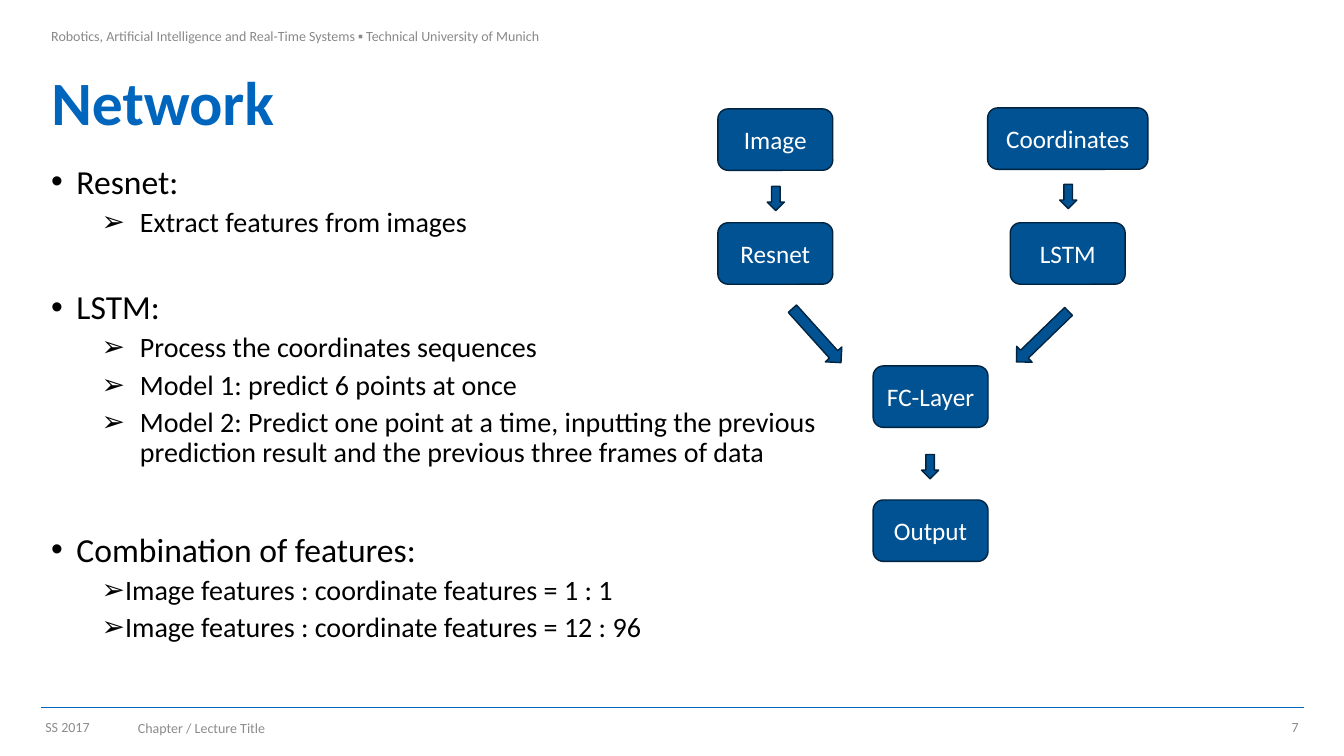
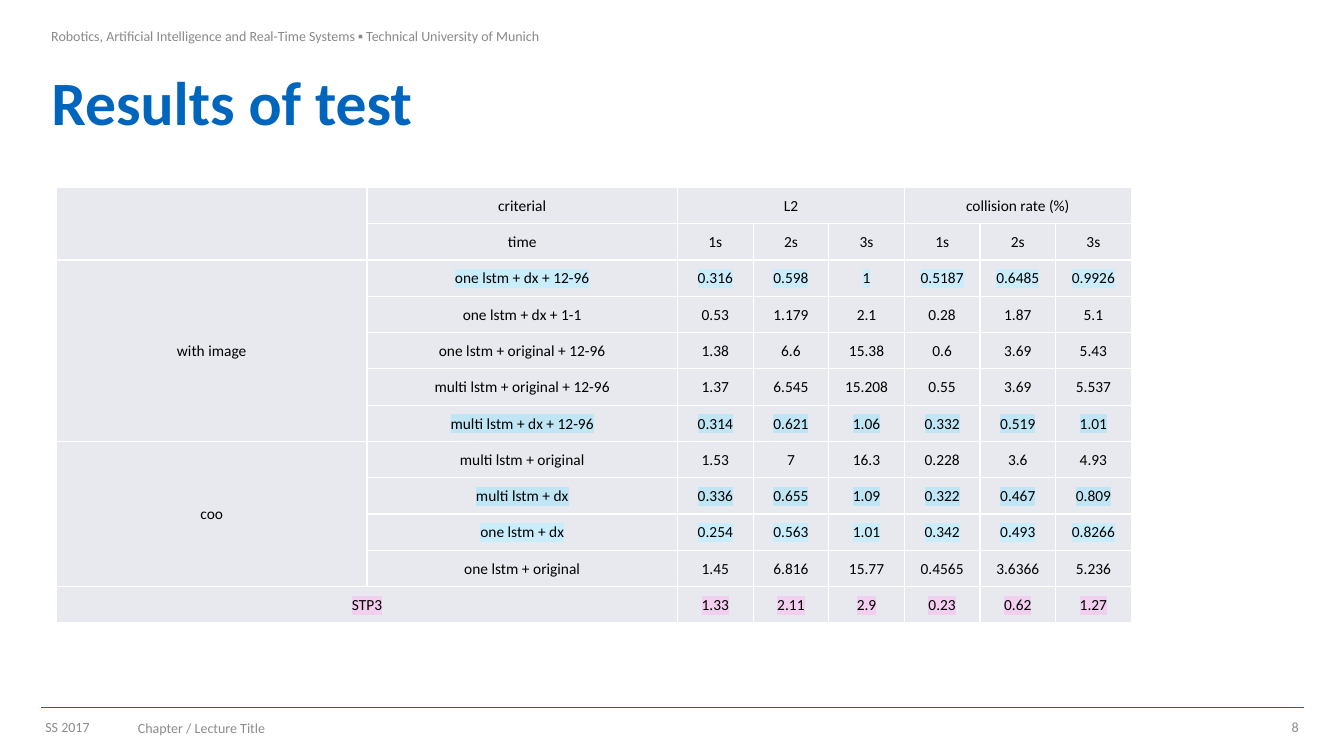
from dataclasses import dataclass
from typing import Optional

from lxml import etree
from pptx import Presentation
from pptx import util as u
from pptx.dml import color
from pptx.enum import shapes, text
from pptx.oxml import ns

FONT = "Calibri"
BLUE = "0065BD"
BOX_BLUE = "005293"
BOX_EDGE = "002440"
HEADER_GREY = "898989"
FOOTER_GREY = "8C8C8C"
BLACK = "000000"
WHITE = "FFFFFF"
CELL_GREY = "E7E9EE"
LIGHT_CYAN = "CAEDFB"
SKY = "C0E6F5"
PINK = "F2CEEF"

LEFT, CONTENT_WIDTH = 0.41, 12.52
HEADER = ("Robotics, Artificial Intelligence and Real-Time Systems ▪ "
          "Technical University of Munich")


@dataclass(frozen=True)
class Label:
    """A small text of the header or footer."""
    words: str
    left: float
    top: float
    width: float
    height: float
    colour: str = FOOTER_GREY
    side_inset: float = 0.04
    top_inset: float = 0.05
    align: text.PP_ALIGN = text.PP_ALIGN.LEFT
    anchor: text.MSO_ANCHOR = text.MSO_ANCHOR.MIDDLE


@dataclass(frozen=True)
class Style:
    """The look of one kind of list item."""
    bullet: str
    size: int
    margin: float
    indent: float
    before: int
    level: int


@dataclass(frozen=True)
class Item:
    words: str
    style: Style
    extra_space: int = 0


@dataclass(frozen=True)
class Box:
    words: str
    centre: float
    top: float
    width: float = 1.14


@dataclass(frozen=True)
class Arrow:
    left: float
    top: float
    width: float = 0.17
    height: float = 0.24
    rotation: float = 0


@dataclass(frozen=True)
class Result:
    """One table row: its name, its six values and its highlight."""
    name: str
    values: str
    highlight: Optional[str] = None


TOPIC = Style("•", 24, 0.25, -0.25, 10, 0)
DETAIL = Style("➢", 20, 0.88, -0.38, 5, 1)
RATIO = Style("➢", 20, 0.5, 0, 5, 1)

ITEMS = [
    Item("Resnet:", TOPIC),
    Item("Extract features from images", DETAIL),
    Item("LSTM:", TOPIC, 27),
    Item("Process the coordinates sequences", DETAIL),
    Item("Model 1: predict 6 points at once", DETAIL),
    Item("Model 2: Predict one point at a time, inputting the previous "
         "prediction result and the previous three frames of data", DETAIL),
    Item("Combination of features:", TOPIC, 36),
    Item("Image features : coordinate features = 1 : 1", RATIO),
    Item("Image features : coordinate features = 12 : 96", RATIO),
]

IMAGE_X, MERGE_X, COORDINATES_X = 7.69, 9.23, 10.59
BOXES = [
    Box("Image", IMAGE_X, 1.08),
    Box("Coordinates", COORDINATES_X, 1.07, 1.59),
    Box("Resnet", IMAGE_X, 2.21),
    Box("LSTM", COORDINATES_X, 2.21),
    Box("FC-Layer", MERGE_X, 3.63),
    Box("Output", MERGE_X, 4.96),
]
ARROWS = [
    Arrow(7.61, 1.85),
    Arrow(10.51, 1.83),
    Arrow(9.14, 4.51),
    Arrow(7.99, 2.97, 0.22, 0.72, 318),
    Arrow(10.23, 2.98, 0.22, 0.72, 45.9),
]

RESULTS = [
    Result("one lstm + dx + 12-96", "0.316 0.598 1 0.5187 0.6485 0.9926", LIGHT_CYAN),
    Result("one lstm + dx + 1-1", "0.53 1.179 2.1 0.28 1.87 5.1"),
    Result("one lstm + original + 12-96", "1.38 6.6 15.38 0.6 3.69 5.43"),
    Result("multi lstm + original + 12-96", "1.37 6.545 15.208 0.55 3.69 5.537"),
    Result("multi lstm + dx + 12-96", "0.314 0.621 1.06 0.332 0.519 1.01", SKY),
    Result("multi lstm + original", "1.53 7 16.3 0.228 3.6 4.93"),
    Result("multi lstm + dx", "0.336 0.655 1.09 0.322 0.467 0.809", SKY),
    Result("one lstm + dx", "0.254 0.563 1.01 0.342 0.493 0.8266", LIGHT_CYAN),
    Result("one lstm + original", "1.45 6.816 15.77 0.4565 3.6366 5.236"),
    Result("STP3", "1.33 2.11 2.9 0.23 0.62 1.27", PINK),
]
# First row, first column, last row, last column
MERGES = [(0, 0, 1, 0), (0, 2, 0, 4), (0, 5, 0, 7),
          (2, 0, 6, 0), (7, 0, 10, 0), (11, 0, 11, 1)]


def rgb(value: str) -> color.RGBColor:
    return color.RGBColor.from_string(value)


def set_font(paragraph, size: float, colour: str, bold: bool = False) -> None:
    font = paragraph.font
    font.name, font.size, font.bold = FONT, u.Pt(size), bold
    font.color.rgb = rgb(colour)


def place(left: float, top: float, width: float, height: float) -> list[u.Inches]:
    return [u.Inches(length) for length in (left, top, width, height)]


def add_label(slide, label: Label) -> None:
    shape = slide.shapes.add_textbox(
        *place(label.left, label.top, label.width, label.height))
    frame = shape.text_frame
    frame.word_wrap = True
    frame.vertical_anchor = label.anchor
    frame.margin_left = frame.margin_right = u.Inches(label.side_inset)
    frame.margin_top = u.Inches(label.top_inset)
    paragraph = frame.paragraphs[0]
    paragraph.text, paragraph.alignment = label.words, label.align
    set_font(paragraph, 10, label.colour)


def add_slide(presentation, title: str, number: int):
    """Add a slide with the shared title, header and footer."""
    slide = presentation.slides.add_slide(presentation.slide_layouts[5])
    shape = slide.shapes.title
    shape.left, shape.top, shape.width, shape.height = place(
        LEFT, 0.68, CONTENT_WIDTH, 0.74)
    frame = shape.text_frame
    frame.auto_size = text.MSO_AUTO_SIZE.NONE
    frame.vertical_anchor = text.MSO_ANCHOR.MIDDLE
    paragraph = frame.paragraphs[0]
    paragraph.text, paragraph.line_spacing = title, 0.9
    paragraph.alignment = text.PP_ALIGN.LEFT
    set_font(paragraph, 44, BLUE, bold=True)

    # Footer rule
    right, rule_y = u.Inches(LEFT + CONTENT_WIDTH), u.Inches(7.02)
    rule = slide.shapes.add_connector(
        shapes.MSO_CONNECTOR.STRAIGHT, u.Inches(LEFT), rule_y, right, rule_y)
    rule.line.color.rgb = rgb(BLUE)
    rule.line.width = u.Pt(0.5)
    etree.SubElement(rule._element.spPr, ns.qn("a:effectLst"))

    # Header and footer texts
    for label in (
        Label(HEADER, LEFT, 0.01, 7.51, 0.68, HEADER_GREY, 0.1, 0.26,
              anchor=text.MSO_ANCHOR.TOP),
        Label("SS 2017", LEFT, 7.1, 0.74, 0.23),
        Label("Chapter / Lecture Title", 1.27, 7.1, 8.61, 0.24, side_inset=0.1),
        Label(str(number), 12.33, 7.1, 0.59, 0.23, align=text.PP_ALIGN.RIGHT),
    ):
        add_label(slide, label)
    return slide


def add_list(slide, items: list[Item]) -> None:
    frame = slide.shapes.add_textbox(*place(LEFT, 1.59, 8.25, 5.31)).text_frame
    frame.word_wrap = True
    for index, item in enumerate(items):
        style = item.style
        paragraph = frame.add_paragraph() if index else frame.paragraphs[0]
        paragraph.text, paragraph.level = item.words, style.level
        paragraph.line_spacing = 0.9
        paragraph.space_before = u.Pt(style.before + item.extra_space if index else 0)
        properties = paragraph._p.get_or_add_pPr()
        properties.set("marL", str(u.Inches(style.margin)))
        properties.set("indent", str(u.Inches(style.indent)))
        etree.SubElement(properties, ns.qn("a:buFont"), typeface="Arial")
        etree.SubElement(properties, ns.qn("a:buChar"), char=style.bullet)
        set_font(paragraph, style.size, BLACK)


def add_block(slide, kind: shapes.MSO_SHAPE, bounds: list[u.Inches]):
    """Add a blue shape of the network diagram."""
    shape = slide.shapes.add_shape(kind, *bounds)
    shape.shadow.inherit = False
    shape.fill.solid()
    shape.fill.fore_color.rgb = rgb(BOX_BLUE)
    shape.line.color.rgb = rgb(BOX_EDGE)
    shape.line.width = u.Pt(1)
    return shape


def add_network(slide) -> None:
    for box in BOXES:
        shape = add_block(
            slide, shapes.MSO_SHAPE.ROUNDED_RECTANGLE,
            place(box.centre - box.width / 2, box.top, box.width, 0.61))
        frame = shape.text_frame
        frame.vertical_anchor = text.MSO_ANCHOR.MIDDLE
        paragraph = frame.paragraphs[0]
        paragraph.text, paragraph.alignment = box.words, text.PP_ALIGN.CENTER
        set_font(paragraph, 18, WHITE)
    for arrow in ARROWS:
        shape = add_block(slide, shapes.MSO_SHAPE.DOWN_ARROW,
                          place(arrow.left, arrow.top, arrow.width, arrow.height))
        shape.rotation = arrow.rotation


def fill_cell(cell, words: str, highlight: Optional[str]) -> None:
    cell.fill.solid()
    cell.fill.fore_color.rgb = rgb(CELL_GREY)
    cell.vertical_anchor = text.MSO_ANCHOR.MIDDLE
    cell.margin_left = cell.margin_right = cell.margin_top = u.Inches(0.01)
    cell.margin_bottom = 0
    paragraph = cell.text_frame.paragraphs[0]
    paragraph.alignment = text.PP_ALIGN.CENTER
    set_font(paragraph, 11, BLACK)
    if words:
        run = paragraph.add_run()
        run.text = words
        if highlight:
            mark = etree.SubElement(run._r.get_or_add_rPr(), ns.qn("a:highlight"))
            etree.SubElement(mark, ns.qn("a:srgbClr"), val=highlight)


def add_results(slide) -> None:
    rows = [(["", "criterial", "L2", "", "", "collision rate (%)", "", ""], None),
            (["", "time"] + ["1s", "2s", "3s"] * 2, None)]
    rows += [(["", result.name, *result.values.split()], result.highlight)
             for result in RESULTS]
    # Group names stand in the first column
    rows[2][0][0], rows[7][0][0] = "with image", "coo"
    rows[-1][0][:2] = ["STP3", ""]

    widths = [3.08] * 2 + [0.75] * 6
    table = slide.shapes.add_table(
        len(rows), len(widths),
        *place(0.56, 1.86, sum(widths), 0.36 * len(rows))).table
    table.first_row = table.horz_banding = False
    for column, width in zip(table.columns, widths):
        column.width = u.Inches(width)
    for row_index, (words, highlight) in enumerate(rows):
        for column_index, word in enumerate(words):
            # A group name is never highlighted
            mark = None if word in ("with image", "coo") else highlight
            fill_cell(table.cell(row_index, column_index), word, mark)
    for top, left, bottom, right in MERGES:
        table.cell(top, left).merge(table.cell(bottom, right))


def main() -> None:
    presentation = Presentation()
    presentation.slide_width, presentation.slide_height = u.Inches(13.33), u.Inches(7.5)

    network = add_slide(presentation, "Network", 7)
    add_list(network, ITEMS)
    add_network(network)

    add_results(add_slide(presentation, "Results of test", 8))
    presentation.save("out.pptx")


if __name__ == "__main__":
    main()
